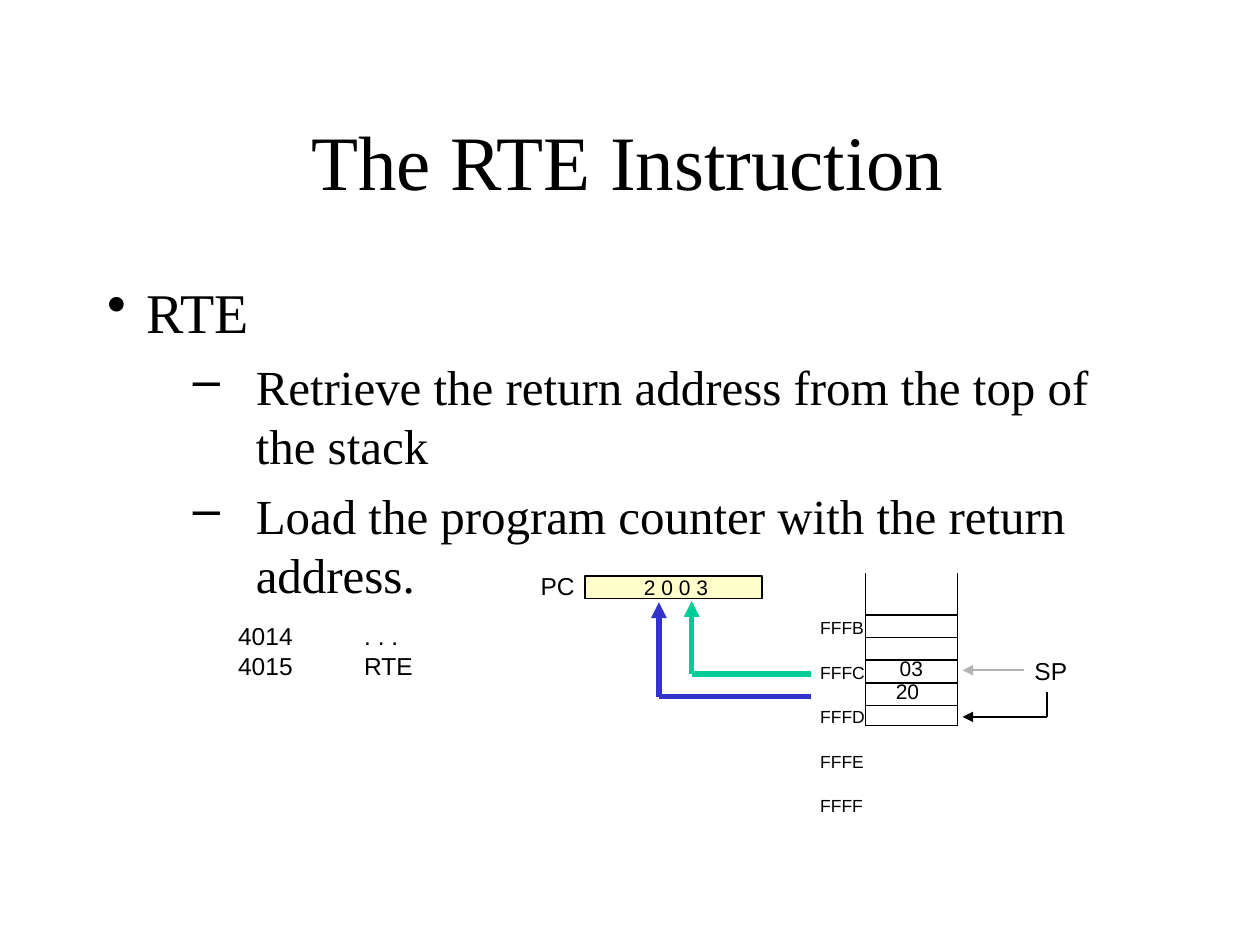
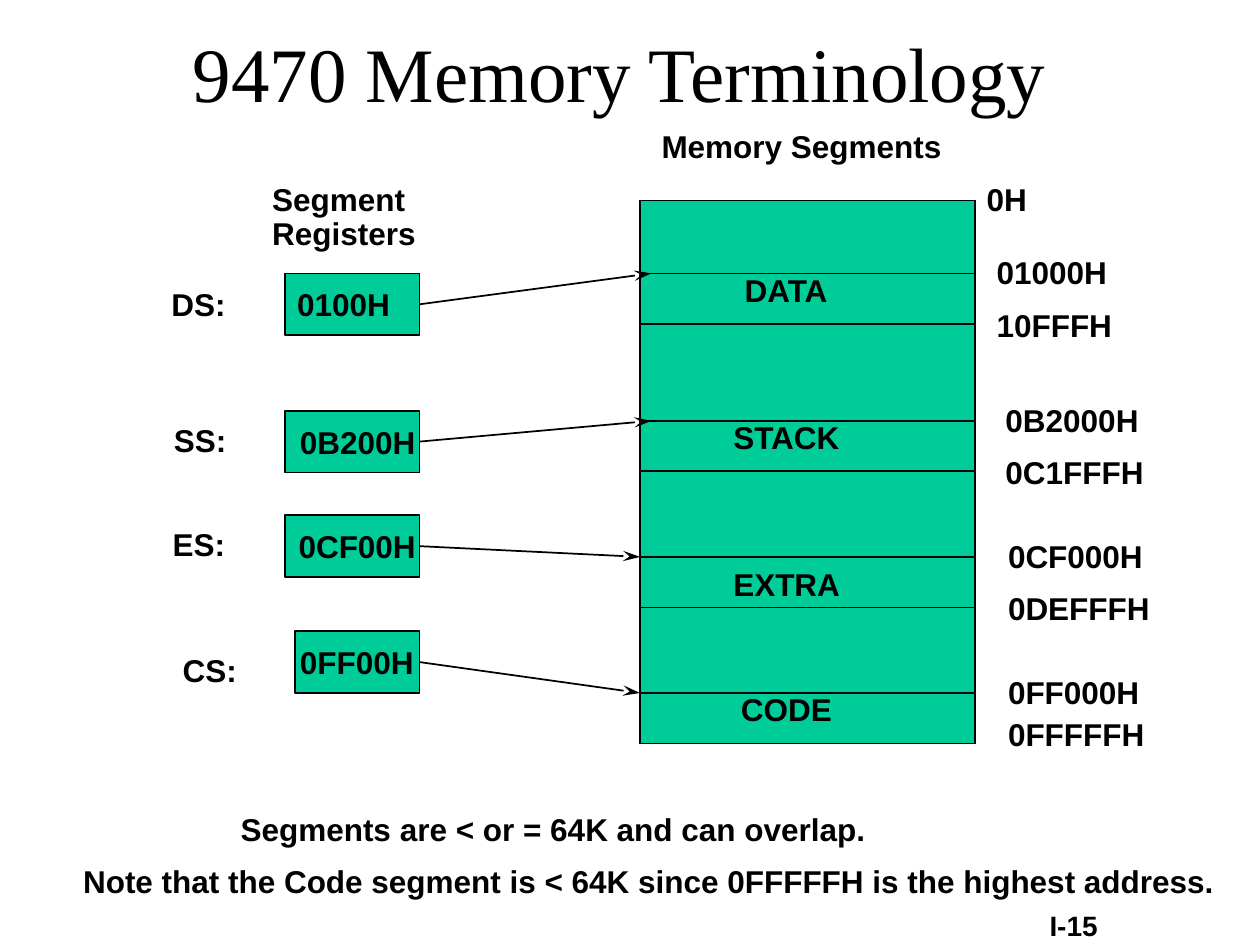
from dataclasses import dataclass
from itertools import accumulate

from lxml.etree import SubElement
from pptx import Presentation
from pptx.dml.color import RGBColor
from pptx.enum.shapes import MSO_CONNECTOR, MSO_SHAPE
from pptx.enum.text import MSO_ANCHOR, PP_ALIGN
from pptx.oxml.ns import qn
from pptx.util import Inches, Pt


@dataclass(frozen=True)
class Theme:
    serif: str = "Times New Roman"
    sans: str = "Arial"
    black: str = "000000"
    green: str = "00CC99"
    blue: str = "3333CC"
    grey: str = "B3B3B3"
    yellow: str = "FFFFCC"
    title: int = 44
    bullet: int = 32
    dash: int = 28
    heading: int = 18
    footer: int = 16
    label: int = 14
    value: int = 12
    address: int = 10


theme = Theme()
deck = Presentation()
deck.slide_width, deck.slide_height = Inches(10), Inches(7.5)
columns, rows = 100, 75
column, row = deck.slide_width / columns, deck.slide_height / rows


def write(frame, text, size=theme.heading, font=theme.sans, bold=False,
          gap=0, leading=None, wrap=False):
    frame.margin_left = frame.margin_right = frame.margin_top = frame.margin_bottom = 0
    frame.word_wrap = wrap
    for number, line in enumerate(text.split("\n")):
        para = frame.add_paragraph() if number else frame.paragraphs[0]
        para.alignment = PP_ALIGN.LEFT
        if number and gap:
            para.space_before = Pt(gap)
        if leading:
            para.line_spacing = Pt(leading)
        span = para.add_run()
        span.text = line
        span.font.size, span.font.name, span.font.bold = Pt(size), font, bold
        span.font.color.rgb = RGBColor.from_string(theme.black)


def link(page, start, end, color=theme.black, width=1, head=None, head_length="med"):
    connector = page.shapes.add_connector(
        MSO_CONNECTOR.STRAIGHT, round(start[0] * column), round(start[1] * row),
        round(end[0] * column), round(end[1] * row))
    connector.line.color.rgb = RGBColor.from_string(color)
    connector.line.width = Pt(width)
    if head:
        SubElement(connector.line._get_or_add_ln(), qn("a:tailEnd"),
                   type=head, w="med", len=head_length)
    SubElement(connector._element.spPr, qn("a:effectLst"))
    return connector


instruction, memory = [deck.slides.add_slide(deck.slide_layouts[6]) for _ in range(2)]

stack_rows = [3.3, 1.8, 1.8, 1.8, 1.8, 1.6]
stack_labels = {3: ("03", 2.7, 0), 4: ("20", 2.4, 0)}
segment_top = 15.9
segment_rows = [5.8, 4, 7.7, 4, 6.8, 4, 6.8, 4]
segment_labels = {1: ("DATA", 8.3, 0), 3: ("STACK", 7.4, 0),
                  5: ("EXTRA", 7.4, 0.9), 7: ("CODE", 8, 0)}
tables = [
    (instruction, 68.7, 45.5, 7.3, stack_rows, stack_labels, None,
     dict(size=theme.value, leading=12)),
    (memory, 50.8, segment_top, 26.6, segment_rows, segment_labels, theme.green,
     dict(bold=True)),
]
for page, left, top, width, heights, labels, fill, style in tables:
    table = page.shapes.add_table(
        len(heights), 1, round(left * column), round(top * row),
        round(width * column), round(sum(heights) * row)).table
    table.first_row = table.horz_banding = False
    for number, height in enumerate(heights):
        table.rows[number].height = round(height * row)
        cell = table.cell(number, 0)
        text, indent, drop = labels.get(number, ("", 0, 0))
        if text:
            write(cell.text_frame, text, **style)
        else:
            cell.text_frame.paragraphs[0]._p.get_or_add_endParaRPr().set("sz", "600")
        cell.margin_left, cell.margin_top = round(indent * column), round(drop * row)
        cell.margin_right = cell.margin_bottom = 0
        open_top = page is instruction and number == 0
        for side in "LRTB":
            border = SubElement(cell._tc.get_or_add_tcPr(), qn(f"a:ln{side}"), w="12700")
            if open_top and side == "T":
                SubElement(border, qn("a:noFill"))
            else:
                paint = SubElement(border, qn("a:solidFill"))
                SubElement(paint, qn("a:srgbClr"), val=theme.black)
        if fill:
            cell.fill.solid()
            cell.fill.fore_color.rgb = RGBColor.from_string(fill)
        else:
            cell.fill.background()

title = dict(size=theme.title, font=theme.serif)
label = dict(size=theme.label)
strong = dict(bold=True)
texts = [
    (instruction, "The RTE Instruction", 24.7, 9, 50.8, 7.6, title),
    (instruction, "PC", 42.9, 45.3, 3, 2.6, label),
    (instruction, "FFFB\nFFFC\nFFFD\nFFFE\nFFFF", 65.1, 49, 3.8, 9.2,
     dict(size=theme.address, gap=13.4)),
    (instruction, "4014\n4015", 18.9, 49.3, 4.6, 4.9, label),
    (instruction, ". . .\nRTE", 28.9, 49.3, 4.1, 4.9, label),
    (instruction, "SP", 82.1, 52.1, 2.9, 2.6, label),
    (memory, "9470 Memory Terminology", 15.3, 2, 68.5, 7.6, title),
    (memory, "Memory Segments", 52.5, 10.1, 22.5, 3.3, strong),
    (memory, "Segment\nRegisters", 21.6, 14.6, 11.7, 6, dict(bold=True, leading=19.4)),
    (memory, "DS:", 13.6, 22.6, 4.6, 3.3, strong),
    (memory, "SS:", 13.8, 33.4, 4.5, 3.3, strong),
    (memory, "ES:", 13.7, 41.7, 4.5, 3.3, strong),
    (memory, "CS:", 14.5, 51.7, 4.6, 3.3, strong),
    (memory, "0H", 78.3, 14.3, 3.5, 3.3, strong),
    (memory, "01000H\n10FFFH", 79.1, 20.1, 9.4, 7.3, dict(bold=True, gap=8.4)),
    (memory, "0B2000H\n0C1FFFH", 79.8, 31.8, 11.5, 7.3, dict(bold=True, gap=8.4)),
    (memory, "0CF000H\n0DEFFFH", 80, 42.6, 11.5, 7.3, dict(bold=True, gap=8.4)),
    (memory, "0FF000H\n0FFFFFH", 80, 53.4, 11.1, 6.4, dict(bold=True, gap=2.4)),
    (memory, "Segments are < or = 64K and can overlap.", 19.1, 64.3, 50, 3, strong),
    (memory, "Note that the Code segment is < 64K since 0FFFFFH is the highest address.",
     6.6, 68.4, 90, 3, strong),
    (memory, "I-15", 83.3, 72.1, 4.4, 2.8, dict(size=theme.footer, bold=True)),
]
for page, text, left, top, width, height, style in texts:
    box = page.shapes.add_textbox(round(left * column), round(top * row),
                                  round(width * column), round(height * row))
    write(box.text_frame, text, **style)

outline = instruction.shapes.add_textbox(
    round(8.5 * column), round(22 * row), round(79.5 * column), round(26 * row))
write(outline.text_frame,
      "RTE\nRetrieve the return address from the top of the stack\n"
      "Load the program counter with the return address.",
      size=theme.dash, font=theme.serif, gap=6.8, wrap=True)
for number, para in enumerate(outline.text_frame.paragraphs):
    mark, margin, hang = ("–", 11.8, 5) if number else ("•", 3.1, 3.1)
    properties = para._p.get_or_add_pPr()
    properties.set("marL", str(round(margin * column)))
    properties.set("indent", str(round(-hang * column)))
    SubElement(properties, qn("a:buChar"), char=mark)
outline.text_frame.paragraphs[0].runs[0].font.size = Pt(theme.bullet)

registers = [
    (instruction, "2 0 0 3", 46.4, 45.7, 14.1, 1.8, 4.7, theme.yellow,
     dict(size=theme.value)),
    (memory, "0100H", 22.6, 21.7, 10.7, 4.9, 1, theme.green, strong),
    (memory, "0B200H", 22.6, 32.6, 10.7, 4.9, 1.2, theme.green, strong),
    (memory, "0CF00H", 22.6, 40.9, 10.7, 4.9, 1.1, theme.green, strong),
    (memory, "0FF00H", 23.4, 50.1, 9.9, 4.9, 0.4, theme.green, strong),
]
segment_starts = list(accumulate(segment_rows, initial=segment_top))[1::2]
tips = [None, *zip([51.7, 51.7, 50.8, 50.8], segment_starts)]
for (page, text, left, top, width, height, indent, fill, style), tip in zip(registers, tips):
    register = page.shapes.add_shape(
        MSO_SHAPE.RECTANGLE, round(left * column), round(top * row),
        round(width * column), round(height * row))
    register.shadow.inherit = False
    register.fill.solid()
    register.fill.fore_color.rgb = RGBColor.from_string(fill)
    register.line.color.rgb = RGBColor.from_string(theme.black)
    register.line.width = Pt(1)
    frame = register.text_frame
    write(frame, text, **style)
    frame.margin_left = round(indent * column)
    frame.vertical_anchor = MSO_ANCHOR.MIDDLE
    if tip:
        arrow = link(page, (left + width, top + height / 2), tip,
                     head="stealth", head_length="lg")
        arrow.begin_connect(register, 3)

for color, left, top, bottom in [(theme.blue, 52.3, 47.8, 55.3),
                                 (theme.green, 54.9, 47.7, 53.5)]:
    link(instruction, (left, bottom), (left, top), color, 3, "triangle")
    link(instruction, (left, bottom), (64.4, bottom), color, 3)
link(instruction, (83.1, 54.9), (83.1, 56.9))
link(instruction, (83.1, 56.9), (76.4, 56.9), head="triangle")
link(instruction, (81.3, 53.2), (76.4, 53.2), theme.grey, head="triangle")

deck.save("out.pptx")
